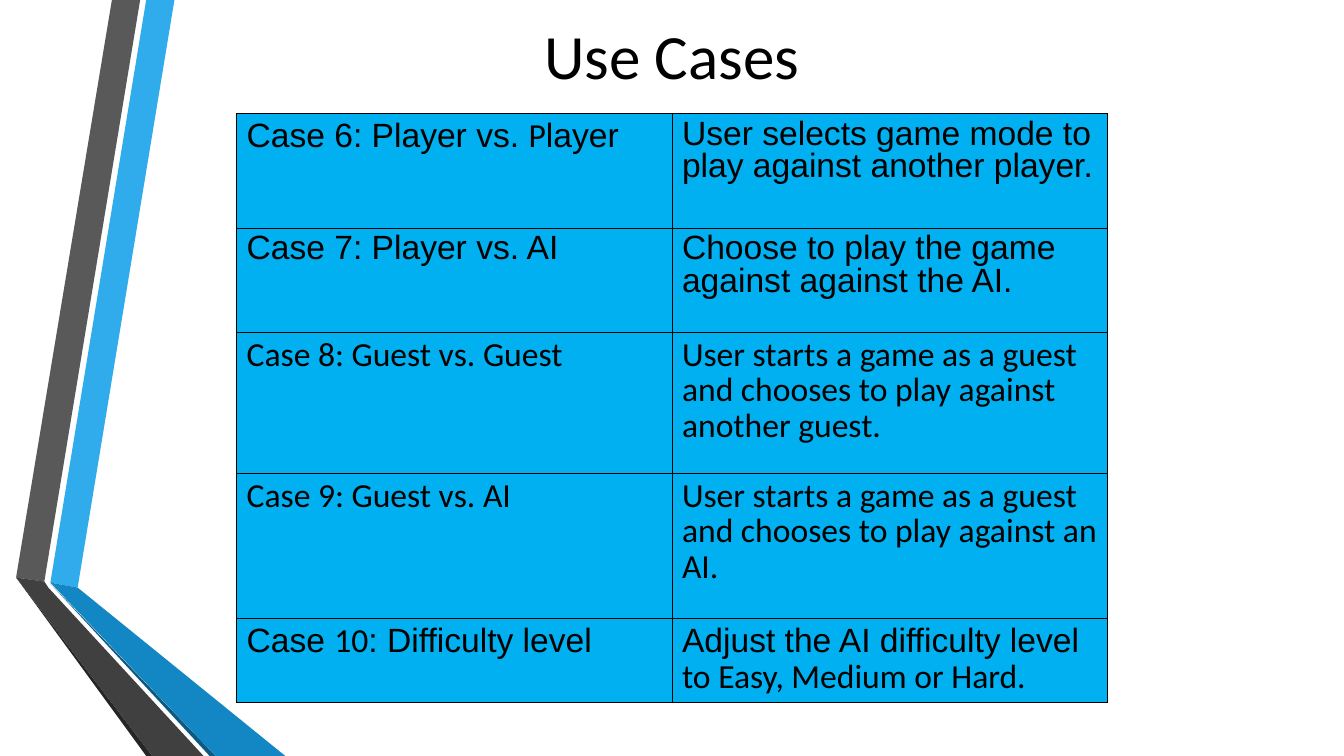
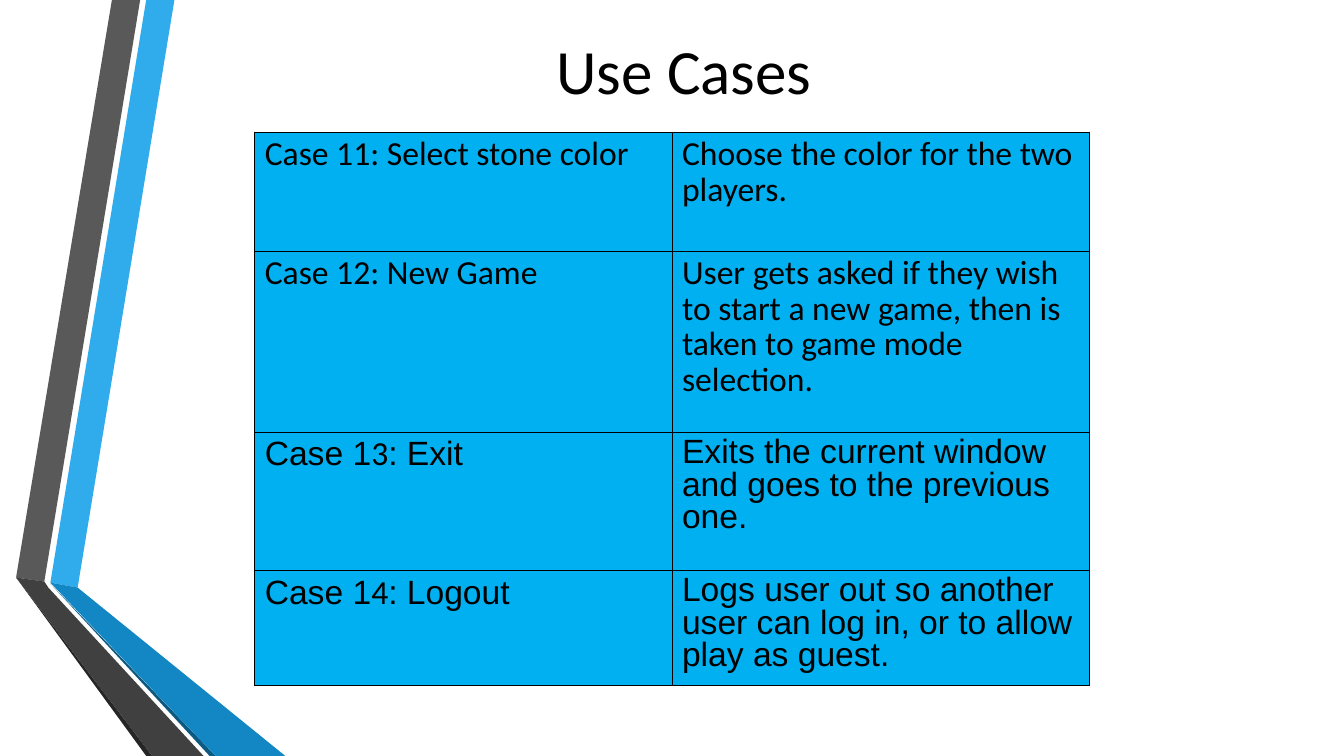
from lxml.etree import SubElement
from pptx import Presentation
from pptx.dml.color import RGBColor
from pptx.enum.text import MSO_ANCHOR, PP_ALIGN
from pptx.oxml.ns import qn
from pptx.util import Inches, Pt

BLACK = RGBColor(0x00, 0x00, 0x00)
CYAN = RGBColor(0x00, 0xB0, 0xF0)
SKY = RGBColor(0x30, 0xAC, 0xEC)
BLUE = RGBColor(0x12, 0x87, 0xC3)
NAVY = RGBColor(0x0C, 0x5A, 0x82)
GRAY = RGBColor(0x59, 0x59, 0x59)
DARK = RGBColor(0x40, 0x40, 0x40)
COAL = RGBColor(0x26, 0x26, 0x26)

WIDTH, HEIGHT = Inches(13.333), Inches(7.5)
HEAD = "Use Cases"
FONTS = ("Arial", "Calibri")

# Band outlines, in percent of the slide's width and height
BANDS = [
    (SKY, [(3.75, 77.07), (5.78, 77.73), (12.98, 0), (10.88, 0)]),
    (GRAY, [(10.43, 0), (8.33, 0), (1.2, 76.4), (3.3, 76.93)]),
    (COAL, [(1.2, 76.4), (10.88, 100), (11.33, 100)]),
    (NAVY, [(3.75, 77.2), (15.6, 100), (16.05, 100)]),
    (BLUE, [(3.75, 77.07), (16.05, 100), (21.23, 100), (5.78, 77.73)]),
    (DARK, [(15.15, 100), (3.6, 77.73), (3.3, 76.93), (1.2, 76.4),
            (11.33, 100)]),
]

# Rows: height in percent, case, action; each "|" swaps Arial and Calibri
MODES = [
    (15.2, "Case 6: Player vs. |P|layer",
     "User selects game mode to play against another player."),
    (13.73, "Case 7: Player vs. AI",
     "Choose to play the game against against the AI."),
    (18.67, "|Case 8: Guest vs. Guest",
     "|User starts a game as a guest and chooses to play against "
     "another guest."),
    (19.2, "|Case 9: Guest vs. AI",
     "|User starts a game as a guest and chooses to play against an AI."),
    (11.07, "Case |10|: Difficulty level",
     "Adjust the AI difficulty level| to Easy, Medium or Hard."),
]
TOOLS = [
    (15.73, "|Case 11: Select stone color",
     "|Choose the color for the two players."),
    (24, "|Case 12: New Game",
     "|User gets asked if they wish to start a new game, then is taken "
     "to game mode selection."),
    (18.27, "Case 1|3|: Exit",
     "Exits the current window and goes to the previous one."),
    (15.2, "Case 1|4|: Logout",
     "Logs user out so another user can log in, or to allow play as guest."),
]


def wide(part):
    return round(WIDTH * part / 100)


def high(part):
    return round(HEIGHT * part / 100)


def style(run, font, size):
    run.font.name, run.font.size = font, Pt(size)
    run.font.color.rgb = BLACK


def add_bands(slide, master):
    """Draw the bands once and move them to the master."""
    for color, spots in BANDS:
        spots = [(wide(x), high(y)) for x, y in spots]
        pen = slide.shapes.build_freeform(*spots[0])
        pen.add_line_segments(spots[1:], close=True)
        band = pen.convert_to_shape()
        band.shadow.inherit = False
        band.fill.solid()
        band.fill.fore_color.rgb = color
        band.line.fill.background()
        master.shapes.element.append(band.element)


def add_title(slide, left, top, tall):
    box = slide.shapes.add_textbox(wide(left), high(top),
                                   wide(53.78), high(tall))
    frame = box.text_frame
    frame.text = HEAD
    frame.word_wrap = True
    frame.vertical_anchor = MSO_ANCHOR.MIDDLE
    frame.margin_left = frame.margin_right = frame.margin_bottom = 0
    frame.margin_top = Inches(0.03)
    para = frame.paragraphs[0]
    para.alignment, para.line_spacing = PP_ALIGN.CENTER, 0.93
    style(para.runs[0], "Calibri", 45)


def add_edges(cell):
    props = cell._tc.get_or_add_tcPr()
    for side in ("lnL", "lnR", "lnT", "lnB"):
        line = SubElement(props, qn("a:" + side), w=str(Pt(0.75)))
        fill = SubElement(line, qn("a:solidFill"))
        SubElement(fill, qn("a:srgbClr"), val=str(BLACK))


def fill_cell(cell, text):
    add_edges(cell)
    cell.fill.solid()
    cell.fill.fore_color.rgb = CYAN
    para = cell.text_frame.paragraphs[0]
    para.line_spacing = 0.87
    for turn, piece in enumerate(text.split("|")):
        if piece:
            run = para.add_run()
            run.text = piece
            style(run, FONTS[turn % 2], 24)


def add_cases(slide, top, span, cases):
    """Add a centred table with two equal columns."""
    tall = sum(case[0] for case in cases)
    grid = slide.shapes.add_table(len(cases), 2, wide((100 - span) / 2),
                                  high(top), wide(span), high(tall)).table
    grid.first_row = grid.horz_banding = False
    for row, (size, *texts) in zip(grid.rows, cases):
        row.height = high(size)
        for cell, text in zip(row.cells, texts):
            fill_cell(cell, text)


def main():
    deck = Presentation()
    deck.slide_width, deck.slide_height = WIDTH, HEIGHT
    blank = deck.slide_layouts[6]

    # Game modes
    slide = deck.slides.add_slide(blank)
    add_bands(slide, deck.slide_master)
    add_title(slide, 23.1, 1.33, 12.4)
    add_cases(slide, 15.07, 64.8, MODES)

    # Game controls
    slide = deck.slides.add_slide(blank)
    add_title(slide, 24, 4, 11.07)
    add_cases(slide, 17.47, 62.1, TOOLS)

    deck.save("out.pptx")


main()
